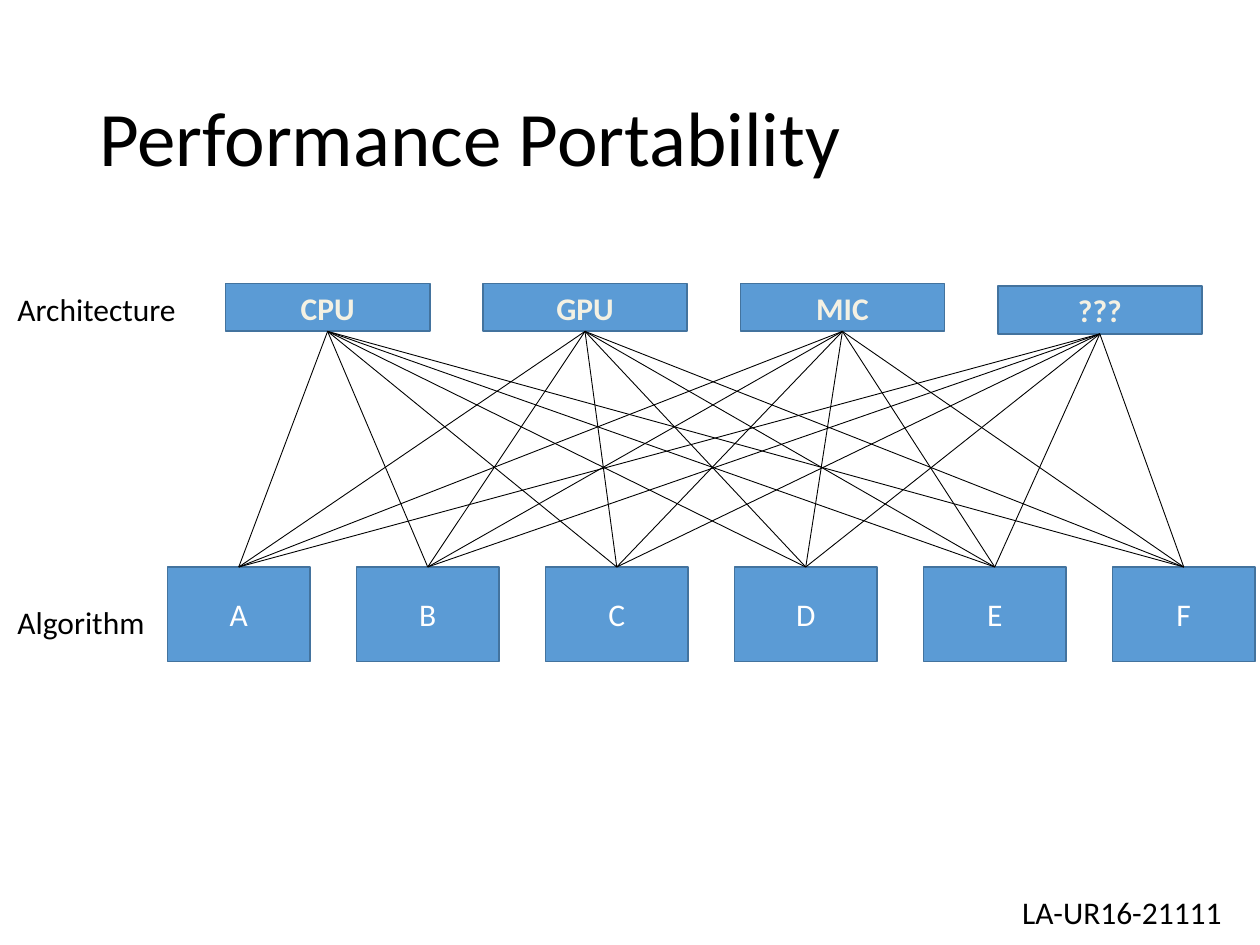
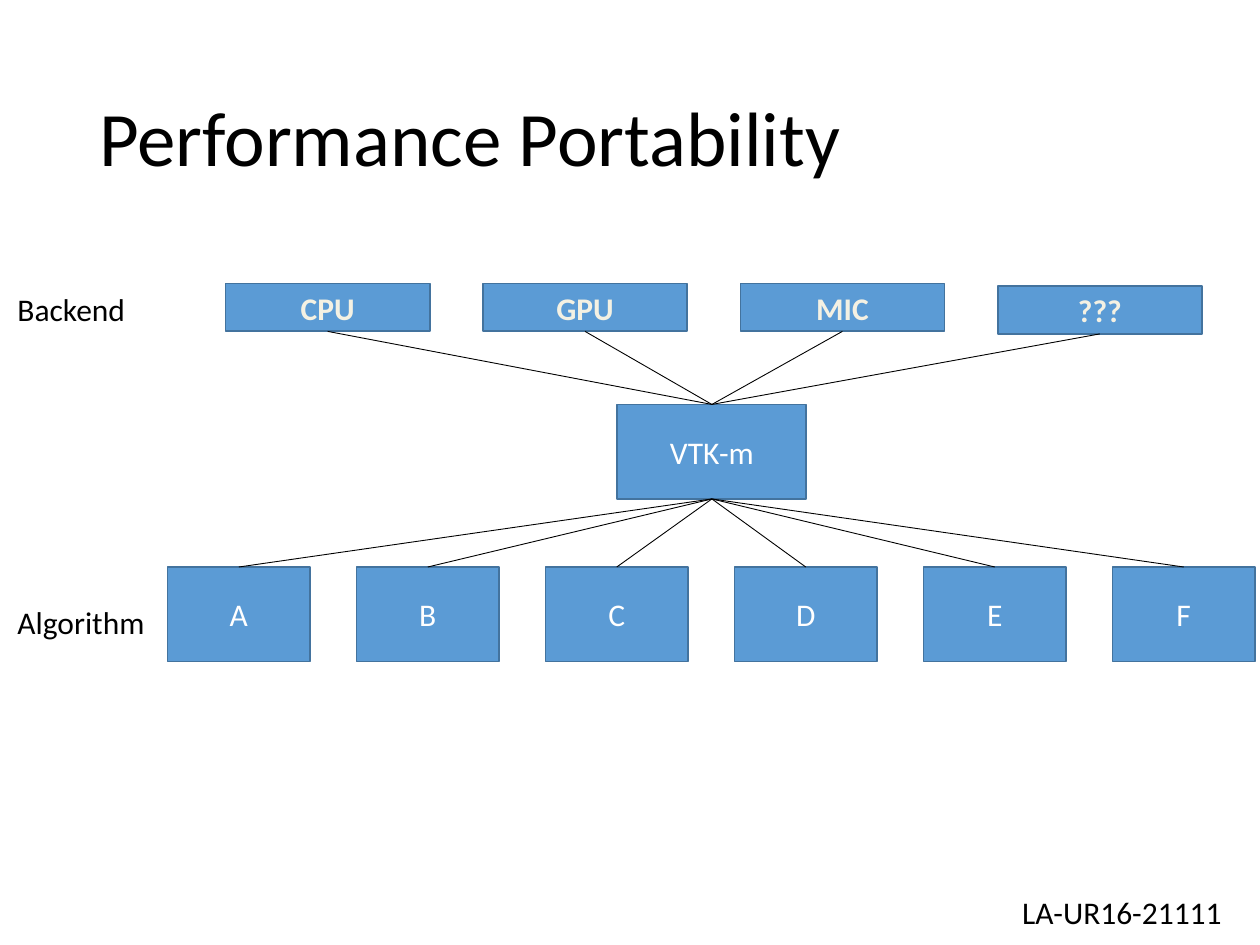
from pptx import Presentation
from pptx.dml.color import RGBColor
from pptx.enum.shapes import MSO_CONNECTOR, MSO_SHAPE
from pptx.enum.text import MSO_ANCHOR, PP_ALIGN
from pptx.oxml.ns import qn
from pptx.util import Inches, Pt
from lxml import etree

RECT = MSO_SHAPE.RECTANGLE
STRAIGHT = MSO_CONNECTOR.STRAIGHT
LEFT, CENTER = PP_ALIGN.LEFT, PP_ALIGN.CENTER
TOP, MIDDLE = MSO_ANCHOR.TOP, MSO_ANCHOR.MIDDLE
BOTTOM_SITE, TOP_SITE = 2, 0

FONT = "Calibri"
COLORS = {
    "text": "000000",
    "box": "5B9BD5",
    "border": "43739E",
    "target": "F4F1E3",
    "white": "FFFFFF",
}
TITLE = "Performance Portability"
REPORT = "LA-UR16-21111"
TARGETS = ["CPU", "GPU", "MIC", "???"]
ALGORITHMS = "ABCDEF"
LAST_TARGET_DROP = 0.02


def rgb(name):
    return RGBColor.from_string(COLORS[name])


def write(sp, text, size=18, color="text", bold=False, align=LEFT, anchor=TOP):
    tf = sp.text_frame
    tf.word_wrap = True
    tf.vertical_anchor = anchor
    p = tf.paragraphs[0]
    p.text = text
    p.alignment = align
    p.font.name = FONT
    p.font.size = Pt(size)
    p.font.bold = bold
    p.font.color.rgb = rgb(color)
    return p


def add_text(slide, box, text, **style):
    return write(slide.shapes.add_textbox(*map(Inches, box)), text, **style)


def add_box(slide, box, text, color="white", bold=False):
    sp = slide.shapes.add_shape(RECT, *map(Inches, box))
    sp.shadow.inherit = False
    sp.fill.solid()
    sp.fill.fore_color.rgb = rgb("box")
    sp.line.color.rgb = rgb("border")
    sp.line.width = Pt(1)
    write(sp, text, color=color, bold=bold, align=CENTER, anchor=MIDDLE)
    return sp


def link(slide, upper, lower):
    """Join the bottom of one box to the top of another."""
    line = slide.shapes.add_connector(STRAIGHT, 0, 0, 0, 0)
    line.begin_connect(upper, BOTTOM_SITE)
    line.end_connect(lower, TOP_SITE)
    line.line.color.rgb = rgb("text")
    line.line.width = Pt(0.5)
    etree.SubElement(line._element.spPr, qn("a:effectLst"))


def link_all(slide, uppers, lowers):
    for upper in uppers:
        for lower in lowers:
            link(slide, upper, lower)


def target_row(slide, left, top, label):
    add_text(slide, (left, top, 1.75, 0.4), label)
    boxes = []
    for i, name in enumerate(TARGETS):
        drop = LAST_TARGET_DROP if i == len(TARGETS) - 1 else 0
        box = (left + 1.75 + 2.043 * i, top + drop, 1.62, 0.38)
        boxes.append(add_box(slide, box, name, "target", True))
    return boxes


def algorithm_row(slide, left, top):
    add_text(slide, (left, top + 0.24, 1.58, 0.4), "Algorithm")
    return [add_box(slide, (left + 1.29 + 1.5 * i, top, 1.13, 0.75), name)
            for i, name in enumerate(ALGORITHMS)]


def diagram_slide(prs, target_label, hub_name=None):
    """Link targets to algorithms, directly or through a hub."""
    slide = prs.slides.add_slide(prs.slide_layouts[6])
    p = add_text(slide, (0.69, 0.4, 8.62, 1.45), TITLE, size=44, anchor=MIDDLE)
    p.line_spacing = 0.9
    targets = target_row(slide, 0.04, 2.25, target_label)
    algorithms = algorithm_row(slide, 0.04, 4.5)
    if hub_name:
        hub = add_box(slide, (4.9, 3.21, 1.5, 0.75), hub_name)
        link_all(slide, targets, [hub])
        link_all(slide, [hub], algorithms)
    else:
        link_all(slide, targets, algorithms)
    add_text(slide, (7.88, 7.04, 2.05, 0.4), REPORT, align=CENTER)


def main():
    prs = Presentation()
    prs.slide_width, prs.slide_height = Inches(10), Inches(7.5)
    diagram_slide(prs, "Architecture")
    diagram_slide(prs, "Backend", "VTK-m")
    prs.save("out.pptx")


if __name__ == "__main__":
    main()
